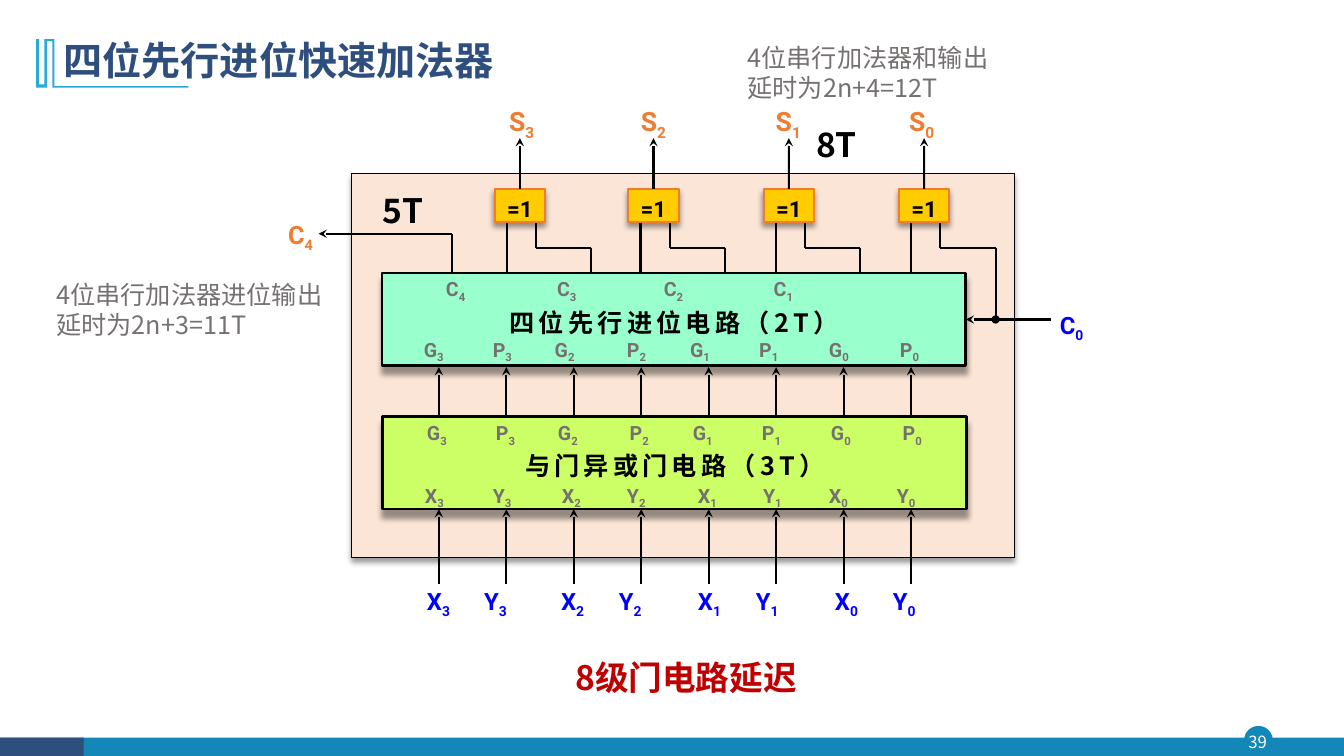
from lxml import etree
from pptx import Presentation
from pptx.dml.color import RGBColor
from pptx.enum.shapes import MSO_CONNECTOR, MSO_SHAPE
from pptx.enum.text import MSO_ANCHOR, PP_ALIGN
from pptx.oxml.ns import qn
from pptx.util import Cm, Pt

STRAIGHT = MSO_CONNECTOR.STRAIGHT
RECTANGLE, OVAL = MSO_SHAPE.RECTANGLE, MSO_SHAPE.OVAL
TOP, MIDDLE = MSO_ANCHOR.TOP, MSO_ANCHOR.MIDDLE
LEFT, CENTER = PP_ALIGN.LEFT, PP_ALIGN.CENTER
HAN, LATIN = "Noto Sans CJK SC", "Roboto"

COLORS = {
    "navy": "2E4E7E", "teal": "1387B7", "sky": "28A9D6", "white": "FFFFFF",
    "black": "000000", "gray": "767171", "blue": "0000FF", "orange": "ED7D31",
    "red": "C00000", "peach": "FBE5D6", "mint": "99FFCC", "lime": "CCFF66",
    "yellow": "FFCC00",
}

# Content; all lengths are centimetres
TITLE_MARK = [(1.37, 0.99), (1.37, 2.17), (4.75, 2.17), (4.75, 2.21), (1.32, 2.21),
              (1.32, 1.04), (1.19, 1.04), (1.19, 2.21), (0.91, 2.21), (0.91, 0.99),
              (0.99, 0.99), (0.99, 2.13), (1.12, 2.13), (1.12, 0.99)]

# lines, box, size, colour, bold, alignment
TEXTS = [
    (["4位串行加法器和输出", "延时为2n+4=12T"], (18.59, 0.94, 7.87, 2.57), 18, "gray", False, LEFT),
    (["4位串行加法器进位输出", "延时为2n+3=11T"], (1.17, 6.91, 7.47, 2.57), 18, "gray", False, LEFT),
    (["5T"], (8.61, 4.65, 3.1, 1.37), 24, "black", True, CENTER),
    (["8T"], (19.53, 3, 3.1, 1.37), 24, "black", True, CENTER),
    (["8级门电路延迟"], (12.78, 16.43, 9.02, 1.37), 24, "red", True, CENTER),
]

PANEL = (8.86, 4.37, 16.71, 9.68)
CARRY_BLOCK = (9.63, 6.88, 14.71, 2.34)
GATE_BLOCK = (9.65, 10.49, 14.71, 2.34)

BITS = (3, 2, 1, 0)
INPUTS = [(letter, bit) for bit in BITS for letter in "XY"]
GENERATES = [(letter, bit) for bit in BITS for letter in "GP"]

# signals, left edges, middle height, size, colour
SIGNAL_ROWS = [
    (INPUTS, (10.76, 12.2, 14.14, 15.6, 17.59, 19.05, 21.04, 22.5), 15.2, 17, "blue"),
    (INPUTS, (10.71, 12.42, 14.16, 15.8, 17.59, 19.23, 20.89, 22.6), 12.52, 14, "gray"),
    (GENERATES, (10.76, 12.5, 14.06, 15.87, 17.46, 19.2, 20.94, 22.75), 10.94, 14, "gray"),
    (GENERATES, (10.68, 12.42, 13.98, 15.8, 17.39, 19.13, 20.89, 22.68), 8.84, 14, "gray"),
    ([("C", n) for n in (4, 3, 2, 1)], (11.24, 14.04, 16.73, 19.5), 7.31, 14, "gray"),
    ([("S", bit) for bit in BITS], (12.83, 16.15, 19.55, 22.91), 3.1, 19, "orange"),
    ([("C", 4)], (7.26,), 5.95, 18, "orange"),
    ([("C", 0)], (26.71,), 8.24, 17, "blue"),
]

GATE_CENTERS = (13.1, 16.47, 19.88, 23.29)
GATE_TOP, GATE_WIDTH, GATE_HEIGHT = 4.76, 1.27, 0.84
ARROW_START, ARROW_STEP = 11.06, 1.7

deck = Presentation()
deck.slide_width, deck.slide_height = Cm(33.87), Cm(19.05)
page = deck.slides.add_slide(deck.slide_layouts[6])


def color(name):
    return RGBColor.from_string(COLORS[name])


def add_span(para, text, size, tint, font=HAN, bold=False, **attributes):
    span = para.add_run()
    span.text = text
    span.font.size, span.font.bold, span.font.name = Pt(size), bold, font
    span.font.color.rgb = color(tint)
    properties = span._r.get_or_add_rPr()
    etree.SubElement(properties, qn("a:ea"), typeface=font)
    for key, value in attributes.items():
        properties.set(key, value)


def add_box(place, anchor=TOP, inset=None):
    box = page.shapes.add_textbox(*map(Cm, place))
    frame = box.text_frame
    frame.word_wrap, frame.vertical_anchor = True, anchor
    if inset is not None:
        frame.margin_left = frame.margin_right = Cm(inset)
        frame.margin_top = frame.margin_bottom = Cm(inset)
    return frame


def paint(shape, fill, line=None, width=1, shadow=None):
    shape.shadow.inherit = False
    shape.fill.solid()
    shape.fill.fore_color.rgb = color(fill)
    if line:
        shape.line.color.rgb = color(line)
        shape.line.width = Pt(width)
    else:
        shape.line.fill.background()
    if shadow:
        effects = shape._element.spPr.find(qn("a:effectLst"))
        outer = etree.SubElement(effects, qn("a:outerShdw"), blurRad=str(Pt(4)),
                                 dist=str(Pt(shadow)), dir="5400000", algn="t", rotWithShape="0")
        black = etree.SubElement(outer, qn("a:srgbClr"), val=COLORS["black"])
        etree.SubElement(black, qn("a:alpha"), val="40000")


def add_shape(kind, place, *style):
    shape = page.shapes.add_shape(kind, *map(Cm, place))
    paint(shape, *style)
    return shape


def label_shape(shape, text, size, font, **attributes):
    frame = shape.text_frame
    frame.word_wrap, frame.vertical_anchor = False, MIDDLE
    para = frame.paragraphs[0]
    para.alignment, para.line_spacing = CENTER, 1.2
    add_span(para, text, size, "black", font, True, **attributes)


def add_wire(*points, end=None):
    """Chain straight connectors through the points; the end mark goes on the last."""
    for start, stop in zip(points, points[1:]):
        wire = page.shapes.add_connector(STRAIGHT, *map(Cm, start + stop))
        wire.line.color.rgb = color("black")
        wire.line.width = Pt(1.5)
        etree.SubElement(wire._element.spPr, qn("a:effectLst"))
    if end:
        etree.SubElement(wire.line._get_or_add_ln(), qn("a:tailEnd"), type=end)
    return wire


# Footer and page number
add_shape(OVAL, (31.37, 18.31, 0.69, 0.69), "teal", "teal")
add_shape(RECTANGLE, (0, 18.59, 33.87, 0.46), "teal")
add_shape(RECTANGLE, (0, 18.59, 2.11, 0.46), "navy")
number = add_box((31.29, 18.31, 0.81, 0.79), MIDDLE, 0).paragraphs[0]
number.alignment = CENTER
add_span(number, "39", 12, "white")

# Title with its mark
outline = page.shapes.build_freeform(*map(Cm, TITLE_MARK[0]))
outline.add_line_segments([(Cm(x), Cm(y)) for x, y in TITLE_MARK[1:]], close=True)
paint(outline.convert_to_shape(), "sky")
title = add_box((1.35, 0.71, 29.21, 1.73), MIDDLE).paragraphs[0]
title.line_spacing = 0.9
add_span(title, "四位先行进位快速加法器", 28, "navy", bold=True)

# Panel and the two circuit blocks
add_shape(RECTANGLE, PANEL, "peach", "black", 0.75, 3)
gate_block = add_shape(RECTANGLE, GATE_BLOCK, "lime", "black", 2, 5)
label_shape(gate_block, "与门异或门电路（3T）", 18, HAN, spc="300")
carry_block = add_shape(RECTANGLE, CARRY_BLOCK, "mint", "black", 2, 5)
label_shape(carry_block, "四位先行进位电路（2T）", 18, HAN, spc="300")
block_top = CARRY_BLOCK[1]
block_middle = block_top + CARRY_BLOCK[3] / 2

# Arrows into both blocks
for column in range(len(INPUTS)):
    x = ARROW_START + column * ARROW_STEP
    for bottom, top in ((14.71, 12.83), (10.5, 9.25)):
        add_wire((x, bottom), (x, top), end="stealth")

# Sum gates with their wires
gate_bottom = GATE_TOP + GATE_HEIGHT
for bit, center in zip(BITS, GATE_CENTERS):
    left, right, far = center - 0.33, center + 0.41, center + 1.8
    last = bit == 0
    add_wire((left, gate_bottom), (left, block_top))
    add_wire((right, gate_bottom), (right, 6.24), (far, 6.24),
             (far, block_middle if last else block_top), end="oval" if last else None)
    gate = add_shape(RECTANGLE, (center - GATE_WIDTH / 2, GATE_TOP, GATE_WIDTH, GATE_HEIGHT),
                     "yellow", "orange", 1.5, 3)
    label_shape(gate, "=1", 16, LATIN)
    add_wire((center, GATE_TOP), (center, 3.48), end="stealth").begin_connect(gate, 0)

# Carry out and carry in
add_wire((11.4, block_top), (11.4, 5.89), (8.03, 5.89), end="stealth")
carry_in = add_wire((26.49, block_middle), (24.34, block_middle), end="stealth")
carry_in.end_connect(carry_block, 3)

# Signal names with subscripts
for signals, lefts, middle, size, tint in SIGNAL_ROWS:
    for (letter, index), x in zip(signals, lefts):
        para = add_box((x, middle - 0.5, 1.2, 1), MIDDLE, 0).paragraphs[0]
        add_span(para, letter, size, tint, LATIN, True)
        add_span(para, str(index), size, tint, LATIN, True, baseline="-25000")

# Delay notes
for lines, place, size, tint, bold, alignment in TEXTS:
    frame = add_box(place)
    for position, line in enumerate(lines):
        para = frame.add_paragraph() if position else frame.paragraphs[0]
        para.alignment = alignment
        add_span(para, line, size, tint, bold=bold)

deck.save("out.pptx")
